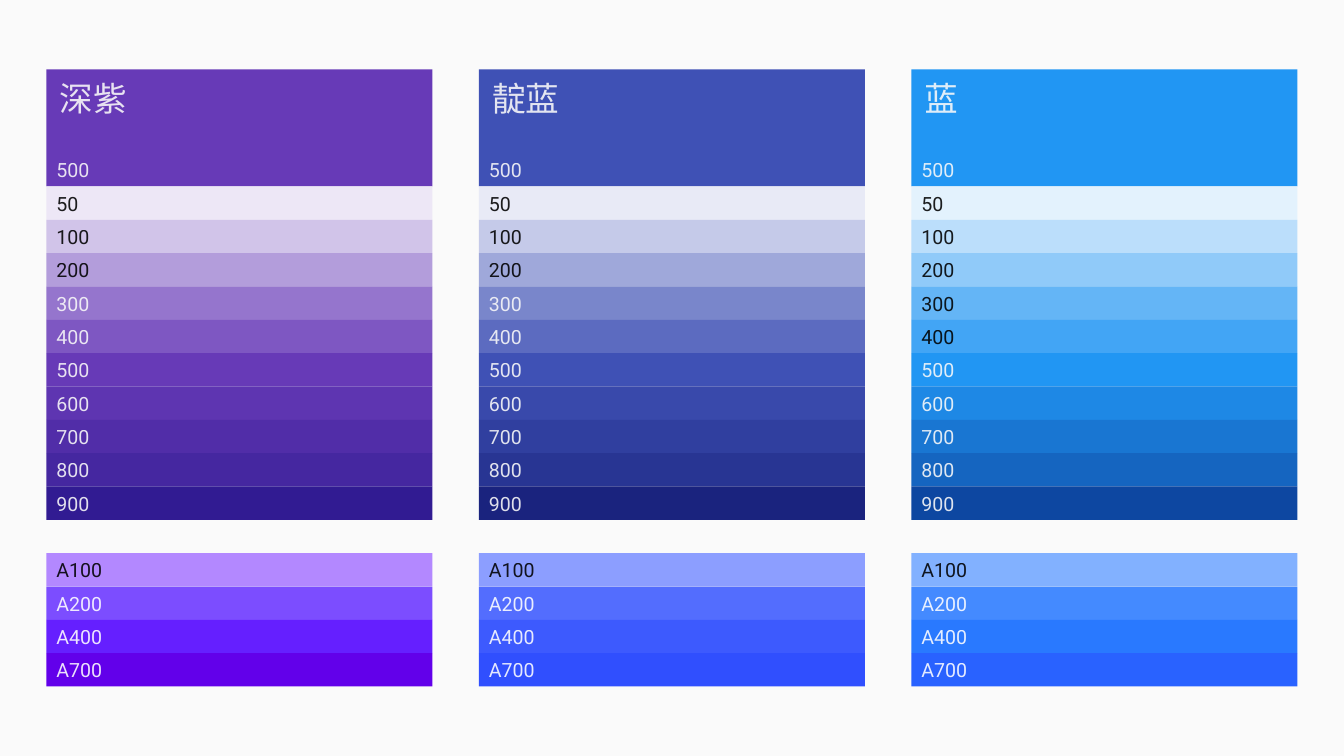
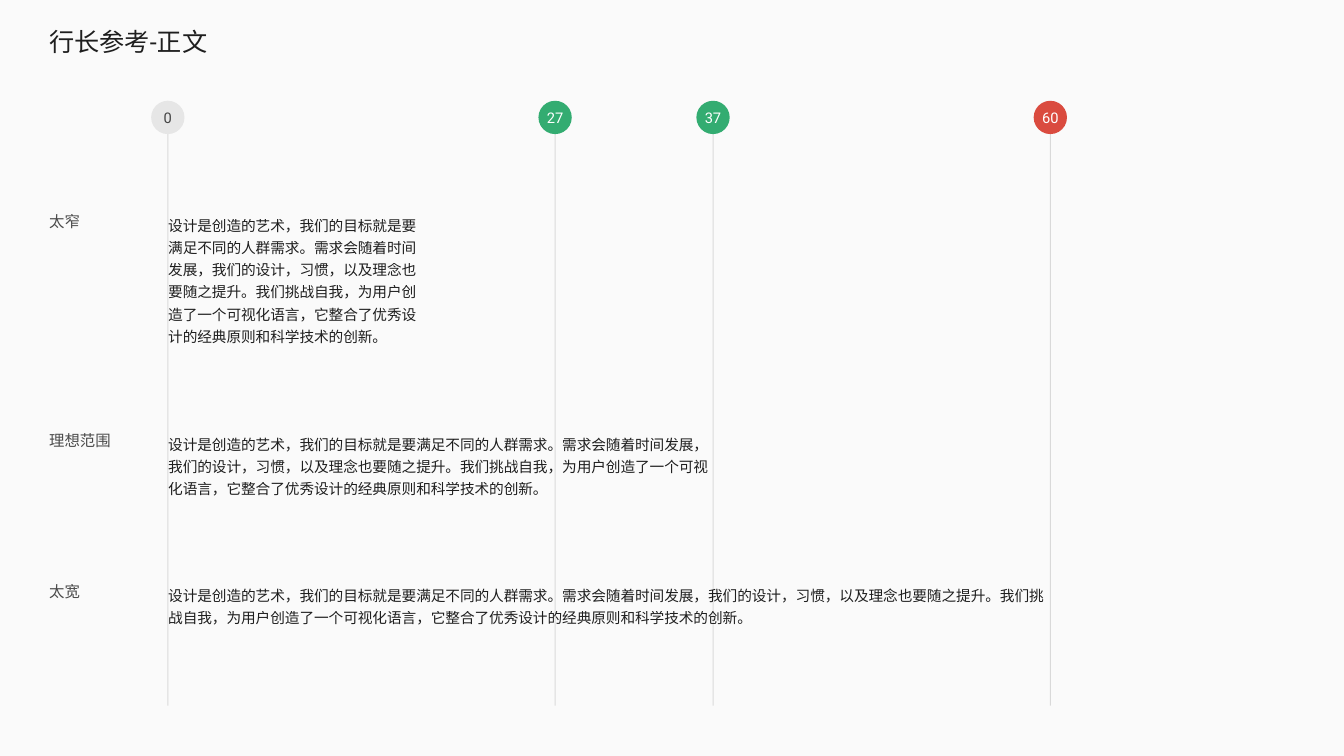
"""Build a colour palette slide and a line length reference slide."""
import dataclasses

import lxml.etree
import pptx
import pptx.dml.color
import pptx.enum.shapes
import pptx.enum.text
import pptx.oxml.ns
import pptx.util

Cm = pptx.util.Cm
Pt = pptx.util.Pt
qn = pptx.oxml.ns.qn
SHAPE = pptx.enum.shapes.MSO_SHAPE
ANCHOR = pptx.enum.text.MSO_ANCHOR
ALIGN = pptx.enum.text.PP_ALIGN


@dataclasses.dataclass(frozen=True)
class Theme:
    """Colours, opacities, fonts and type sizes of the deck."""
    paper: str = "FAFAFA"
    white: str = "FFFFFF"
    ink: str = "000000"
    neutral: str = "E6E6E6"
    good: str = "33AC71"
    bad: str = "DA4B3F"
    strong: int = 87
    medium: int = 70
    faint: int = 12
    opaque: int = 100
    latin: str = "Roboto"
    chinese: str = "Noto Sans CJK SC"
    name_size: float = 24
    title_size: float = 18
    shade_size: float = 14
    label_size: float = 11
    body_size: float = 10.5
    body_leading: float = 15.8


THEME = Theme()

ROW = 0.84
HERO = 2.95
PALETTE_LEFT = 1.17
PALETTE_TOP = 1.75
PALETTE_WIDTH = 9.73
PALETTE_STEP = 10.9
SHADES = ["50", "100", "200", "300", "400", "500", "600", "700", "800", "900"]
ACCENTS = ["A100", "A200", "A400", "A700"]
DARK_ACCENTS = 1

PALETTES = [
    ("深紫", 3,
     "EDE7F6 D1C4E9 B39DDB 9575CD 7E57C2 673AB7 5E35B1 512DA8 4527A0 311B92",
     "B388FF 7C4DFF 651FFF 6200EA"),
    ("靛蓝", 3,
     "E8EAF6 C5CAE9 9FA8DA 7986CB 5C6BC0 3F51B5 3949AB 303F9F 283593 1A237E",
     "8C9EFF 536DFE 3D5AFE 304FFE"),
    ("蓝", 5,
     "E3F2FD BBDEFB 90CAF9 64B5F6 42A5F5 2196F3 1E88E5 1976D2 1565C0 0D47A1",
     "82B1FF 448AFF 2979FF 2962FF"),
]

BODY = ("设计是创造的艺术，我们的目标就是要满足不同的人群需求。"
        "需求会随着时间发展，我们的设计，习惯，以及理念也要随之提升。"
        "我们挑战自我，为用户创造了一个可视化语言，"
        "它整合了优秀设计的经典原则和科学技术的创新。")
MARKER_TOP = 2.54
MARKER_BOTTOM = 17.78
LABEL_LEFT = 0.99
LABEL_WIDTH = 2.6
BODY_LEFT = 3.99
MARKERS = [
    ("0", 4.23, THEME.neutral, THEME.ink, THEME.medium),
    ("27", 13.99, THEME.good, THEME.white, THEME.opaque),
    ("37", 17.97, THEME.good, THEME.white, THEME.opaque),
    ("60", 26.47, THEME.bad, THEME.white, THEME.opaque),
]
SAMPLES = [
    ("太窄", 5.23, 6.88, 3.68),
    ("理想范围", 10.74, 14.38, 1.96),
    ("太宽", 14.55, 22.86, 1.4),
]


def apply(target, formats):
    """Set each attribute of the target from a dict."""
    for name, value in formats.items():
        setattr(target, name, value)


def set_colour(fmt, colour, opacity):
    """Give a colour format an RGB value and an opacity in percent."""
    fmt.rgb = pptx.dml.color.RGBColor.from_string(colour)
    if opacity < THEME.opaque:
        for rgb in fmt._xFill.iter(qn("a:srgbClr")):
            lxml.etree.SubElement(rgb, qn("a:alpha"), val=str(opacity * 1000))


def write(sp, text, size, colour, opacity, font=THEME.latin, frame=None, para=None):
    """Put one styled run of text into a shape."""
    tf = sp.text_frame
    apply(tf, {"word_wrap": True, **(frame or {})})
    p = tf.paragraphs[0]
    apply(p, {"alignment": ALIGN.LEFT, **(para or {})})
    r = p.add_run()
    r.text = text
    apply(r.font, {"size": Pt(size), "name": font})
    r.font.fill.solid()
    set_colour(r.font.color, colour, opacity)
    lxml.etree.SubElement(r._r.get_or_add_rPr(), qn("a:ea"), typeface=font)


def add_filled(shapes, kind, x, y, w, h, colour):
    """Add a preset shape with a plain fill and no outline."""
    sp = shapes.add_shape(kind, Cm(x), Cm(y), Cm(w), Cm(h))
    sp.shadow.inherit = False
    sp.fill.solid()
    sp.fill.fore_color.rgb = pptx.dml.color.RGBColor.from_string(colour)
    sp.line.fill.background()
    return sp


def add_text(s, x, y, w, h, text, size, opacity, colour=THEME.ink, **styles):
    """Add a text box holding one paragraph."""
    sp = s.shapes.add_textbox(Cm(x), Cm(y), Cm(w), Cm(h))
    write(sp, text, size, colour, opacity, **styles)


def add_swatch(s, x, y, h, fill, text, colour, anchor=ANCHOR.MIDDLE):
    """Add a palette band labelled with its shade."""
    sp = add_filled(s.shapes, SHAPE.RECTANGLE, x, y, PALETTE_WIDTH, h, fill)
    write(sp, text, THEME.shade_size, colour, THEME.strong,
          frame={"vertical_anchor": anchor})


def add_bands(s, x, y, names, fills, dark_count, light):
    """Stack equal bands, the first ones with dark text."""
    for i, (name, fill) in enumerate(zip(names, fills)):
        colour = THEME.ink if i < dark_count else light
        add_swatch(s, x, y + i * ROW, ROW, fill, name, colour)


def add_palette(s, x, name, dark_count, shades, accents):
    """Add a named palette with its main and accent bands."""
    fills = shades.split()
    bands_top = PALETTE_TOP + HERO
    accents_top = bands_top + (len(SHADES) + 1) * ROW
    add_swatch(s, x, PALETTE_TOP, HERO, fills[SHADES.index("500")], "500",
               THEME.paper, ANCHOR.BOTTOM)
    add_text(s, x + 0.08, PALETTE_TOP + 0.08, 4, 1.27, name, THEME.name_size,
             THEME.strong, THEME.paper, font=THEME.chinese)
    add_bands(s, x, bands_top, SHADES, fills, dark_count, THEME.paper)
    add_bands(s, x, accents_top, ACCENTS, accents.split(), DARK_ACCENTS, THEME.white)


def add_marker(s, text, x, fill, colour, opacity):
    """Add a vertical guide topped by a numbered circle."""
    shapes = s.shapes.add_group_shape().shapes
    guide = shapes.add_connector(pptx.enum.shapes.MSO_CONNECTOR.STRAIGHT,
                                 Cm(x), Cm(MARKER_TOP), Cm(x), Cm(MARKER_BOTTOM))
    guide.line.width = Pt(0.75)
    guide.line.fill.solid()
    set_colour(guide.line.fill.fore_color, THEME.ink, THEME.faint)
    lxml.etree.SubElement(guide._element.spPr, qn("a:effectLst"))
    sp = add_filled(shapes, SHAPE.OVAL, x - ROW / 2, MARKER_TOP, ROW, ROW, fill)
    margins = dict.fromkeys(
        ["margin_left", "margin_right", "margin_top", "margin_bottom"], 0)
    write(sp, text, THEME.body_size, colour, opacity,
          frame={"word_wrap": False, "vertical_anchor": ANCHOR.MIDDLE, **margins},
          para={"alignment": ALIGN.CENTER})


def add_sample(s, label, y, w, h):
    """Add a labelled paragraph of the given measure."""
    add_text(s, BODY_LEFT, y, w, h, BODY, THEME.body_size, THEME.strong,
             para={"line_spacing": Pt(THEME.body_leading)})
    add_text(s, LABEL_LEFT, y, LABEL_WIDTH, 0.74, label, THEME.label_size, THEME.medium)


def build_palettes(s):
    """Lay the palettes out in equal columns."""
    for i, palette in enumerate(PALETTES):
        add_palette(s, PALETTE_LEFT + i * PALETTE_STEP, *palette)


def build_line_lengths(s):
    """Show text measures against numbered guides."""
    for marker in MARKERS:
        add_marker(s, *marker)
    add_text(s, LABEL_LEFT, 0.53, 4.55, 1.02, "行长参考-正文",
             THEME.title_size, THEME.strong)
    for sample in SAMPLES:
        add_sample(s, *sample)


def main():
    """Create the deck and save it."""
    prs = pptx.Presentation()
    apply(prs, {"slide_width": Cm(33.87), "slide_height": Cm(19.05)})
    fill = prs.slide_master.background.fill
    fill.solid()
    fill.fore_color.rgb = pptx.dml.color.RGBColor.from_string(THEME.paper)
    for build in (build_palettes, build_line_lengths):
        build(prs.slides.add_slide(prs.slide_layouts[6]))
    prs.save("out.pptx")


if __name__ == "__main__":
    main()
